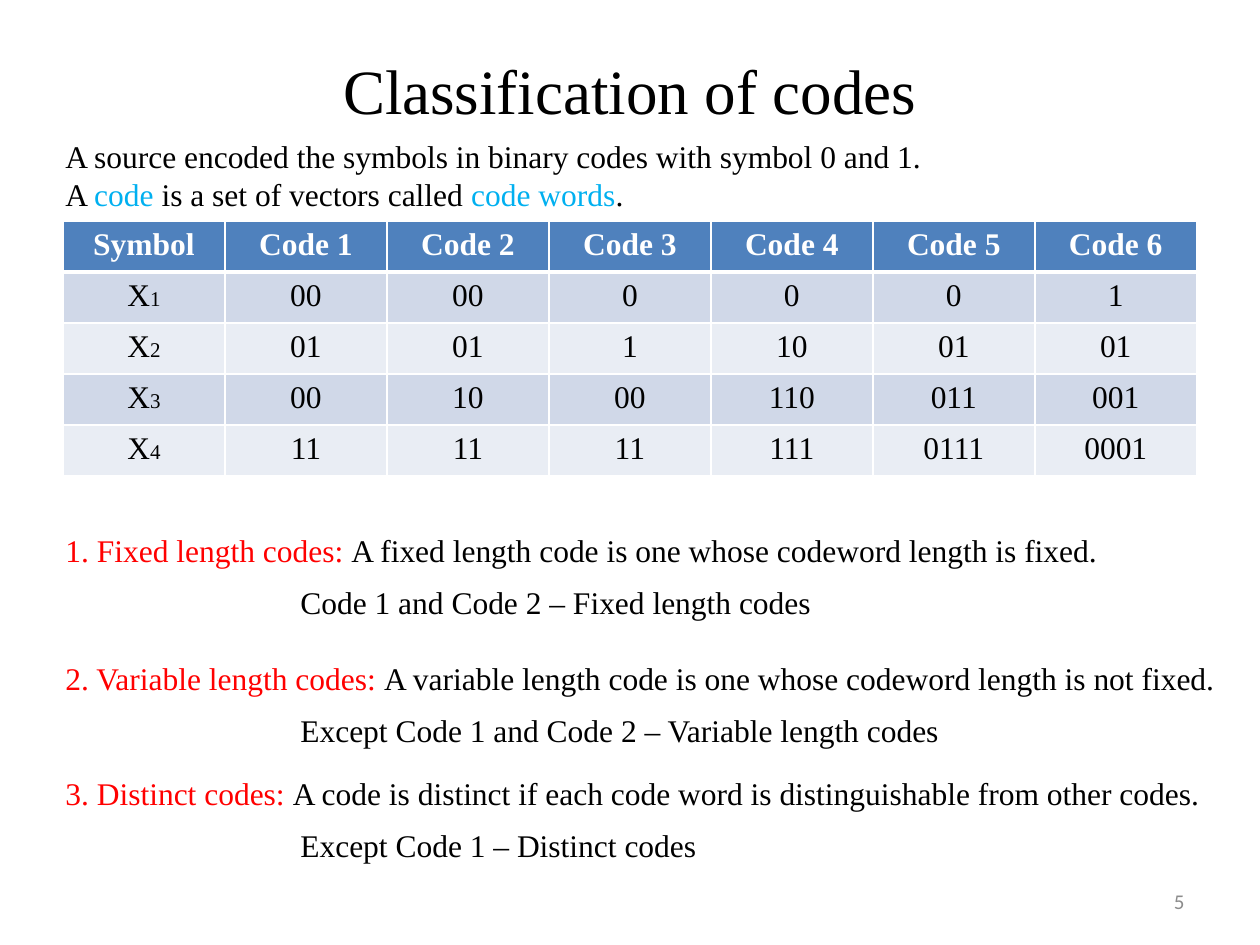
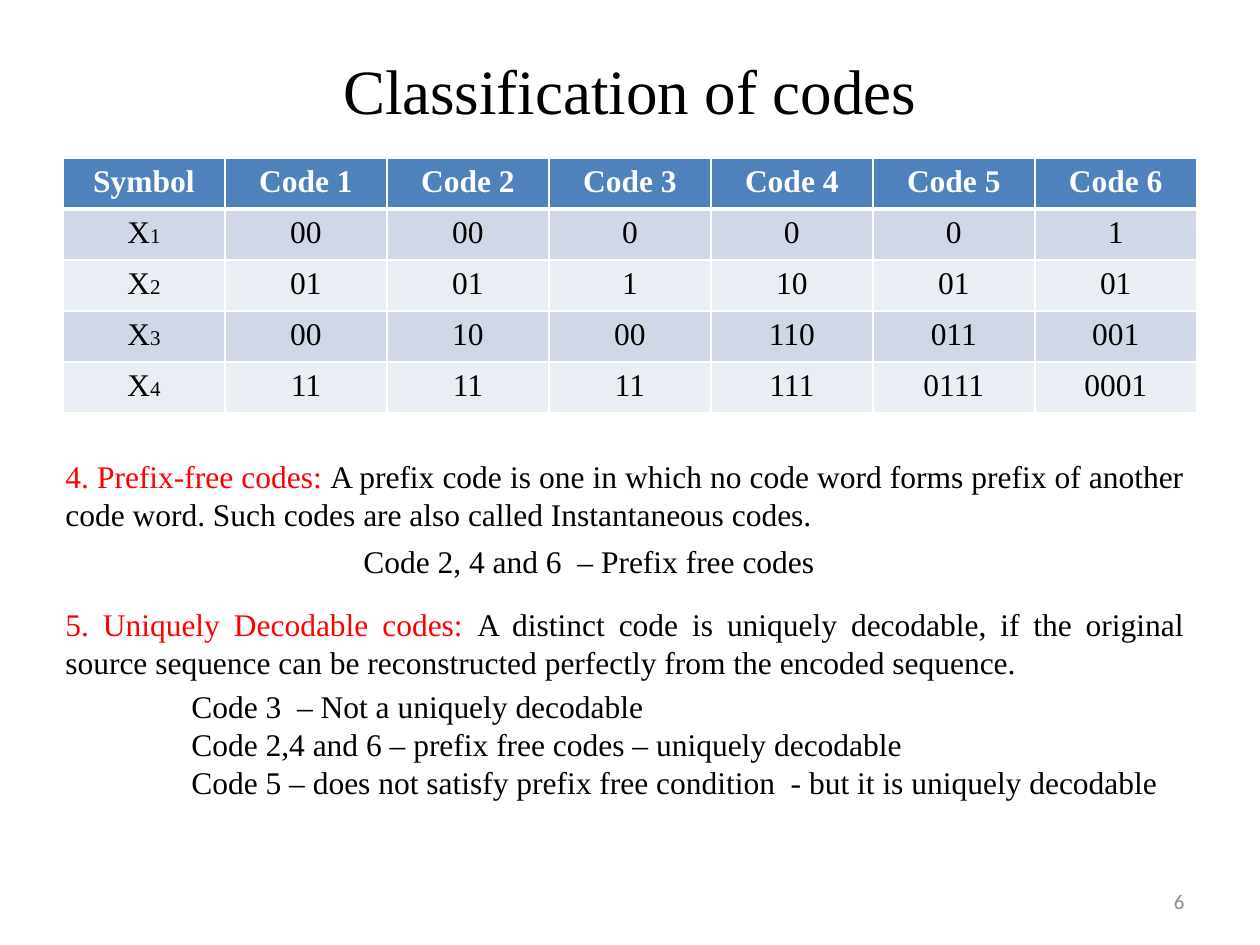
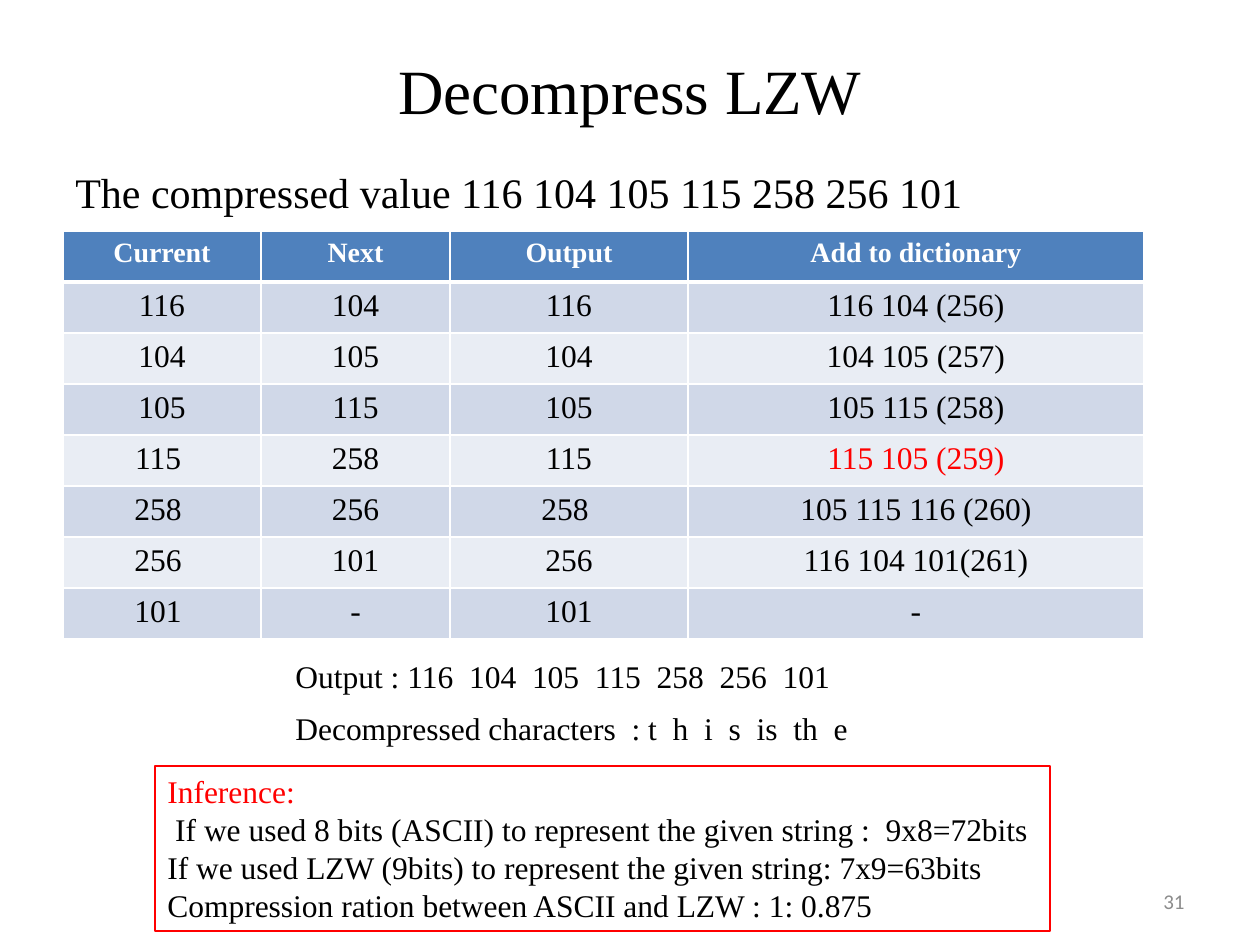
from dataclasses import dataclass

from pptx import Presentation
from pptx.dml.color import RGBColor
from pptx.enum.shapes import MSO_SHAPE
from pptx.enum.text import MSO_ANCHOR, MSO_AUTO_SIZE, PP_ALIGN
from pptx.oxml.ns import qn
from pptx.util import Emu, Pt
from lxml import etree

RECTANGLE = MSO_SHAPE.RECTANGLE
TOP, MIDDLE = MSO_ANCHOR.TOP, MSO_ANCHOR.MIDDLE
LEFT, CENTER, RIGHT, JUSTIFY = (
    PP_ALIGN.LEFT, PP_ALIGN.CENTER, PP_ALIGN.RIGHT, PP_ALIGN.JUSTIFY)
NO_AUTOFIT = MSO_AUTO_SIZE.NONE
TITLE_ONLY = 5
PX_PER_INCH = 126


# Shared look
@dataclass(frozen=True)
class Theme:
    font: str = "Times New Roman"
    number_font: str = "Calibri"
    text: str = "000000"
    white: str = "FFFFFF"
    red: str = "FF0000"
    cyan: str = "00B0F0"
    grey: str = "8C8C8C"
    header: str = "4F81BD"
    bands: tuple = ("D0D8E8", "E9EDF4")
    title_size: int = 36
    lead_size: int = 24
    body_size: int = 18
    header_size: int = 16
    small_size: int = 12
    grid_line: int = 1
    header_line: int = 3


THEME = Theme()
MARGIN = 63
TEXT_LEFT = 53
LINE_HEIGHT = 50
ROW_HEIGHT = 51


@dataclass(frozen=True)
class Span:
    """A piece of text with its own colour or size."""
    text: str
    color: str = THEME.text
    size: int = THEME.body_size
    bold: bool = False
    font: str = THEME.font


# Content
CODE_HEADERS = ["Symbol"] + [f"Code {n}" for n in range(1, 7)]
CODE_WORDS = [
    ["00", "00", "0", "0", "0", "1"],
    ["01", "01", "1", "10", "01", "01"],
    ["00", "10", "00", "110", "011", "001"],
    ["11", "11", "11", "111", "0111", "0001"],
]
LZW_HEADERS = ["Current", "Next", "Output", "Add to dictionary"]
LZW_STEPS = [
    ["116", "104", "116", "116 104 (256)"],
    ["104", "105", "104", "104 105 (257)"],
    ["105", "115", "105", "105 115 (258)"],
    ["115 ", "258", "115", Span("115 105 (259)", THEME.red)],
    ["258 ", "256", "258 ", "105 115 116 (260)"],
    ["256 ", "101", "256", "116 104 101(261)"],
    ["101 ", "-", "101", "-"],
]
# Top of the definition, term, definition, top of the example, example
LENGTH_CLASSES = [
    (525, "1. Fixed length codes: ",
     "A fixed length code is one whose codeword length is fixed.",
     577, "Code 1 and Code 2 – Fixed length codes"),
    (653, "2. Variable length codes: ",
     "A variable length code is one whose codeword length is not fixed.",
     705, "Except Code 1 and Code 2 – Variable length codes"),
    (768, "3. Distinct codes: ",
     "A code is distinct if each code word is distinguishable from other codes.",
     820, "Except Code 1 – Distinct codes"),
]


def px(length):
    return Emu(round(length * 914400 / PX_PER_INCH))


def rgb(color):
    return RGBColor.from_string(color)


# Text
def as_spans(content):
    """Turn a string, a Span or a list of both into a list of Spans."""
    parts = content if isinstance(content, list) else [content]
    return [part if isinstance(part, Span) else Span(part) for part in parts]


def write(frame, paragraphs, align=LEFT, anchor=TOP):
    frame.word_wrap = True
    frame.vertical_anchor = anchor
    for index, content in enumerate(paragraphs):
        paragraph = frame.add_paragraph() if index else frame.paragraphs[0]
        paragraph.alignment = align
        for span in as_spans(content):
            run = paragraph.add_run()
            run.text = span.text
            run.font.name = span.font
            run.font.size = Pt(span.size)
            run.font.bold = span.bold
            run.font.color.rgb = rgb(span.color)


def add_text(slide, box, *paragraphs, align=LEFT, anchor=TOP):
    textbox = slide.shapes.add_textbox(*map(px, box))
    write(textbox.text_frame, paragraphs, align, anchor)


def add_definition(slide, top, width, height, term, meaning):
    add_text(slide, (TEXT_LEFT, top, width, height),
             [Span(term, THEME.red), meaning], align=JUSTIFY)


def add_framed_text(slide, box, *paragraphs):
    frame = slide.shapes.add_shape(RECTANGLE, *map(px, box))
    frame.shadow.inherit = False
    frame.fill.background()
    frame.line.color.rgb = rgb(THEME.red)
    frame.line.width = Pt(0.75)
    write(frame.text_frame, paragraphs)


# Slide with its title and number
def add_titled_slide(deck, title, number):
    slide = deck.slides.add_slide(deck.slide_layouts[TITLE_ONLY])
    heading = slide.shapes.title
    heading.left, heading.top, heading.width, heading.height = map(
        px, (MARGIN, 10, 1134, 158))
    heading.text_frame.auto_size = NO_AUTOFIT
    write(heading.text_frame, [Span(title, size=THEME.title_size)], CENTER, MIDDLE)
    add_text(slide, (903, 876, 294, LINE_HEIGHT),
             Span(number, THEME.grey, THEME.small_size, font=THEME.number_font),
             align=RIGHT, anchor=MIDDLE)
    return slide


# Tables
def set_borders(cell, top, bottom):
    properties = cell._tc.get_or_add_tcPr()
    widths = {"a:lnL": THEME.grid_line, "a:lnR": THEME.grid_line,
              "a:lnT": top, "a:lnB": bottom}
    for side, width in widths.items():
        line = etree.SubElement(properties, qn(side), w=str(Pt(width)))
        fill = etree.SubElement(line, qn("a:solidFill"))
        etree.SubElement(fill, qn("a:srgbClr"), val=THEME.white)


def add_banded_table(slide, top, widths, headers, rows,
                     header_size=THEME.body_size):
    heading = [Span(text, THEME.white, header_size, bold=True) for text in headers]
    lines = [heading] + rows
    table = slide.shapes.add_table(
        len(lines), len(widths), px(MARGIN), px(top),
        px(sum(widths)), px(ROW_HEIGHT * len(lines))).table
    for column, width in zip(table.columns, widths):
        column.width = px(width)
    for r, line in enumerate(lines):
        table.rows[r].height = px(ROW_HEIGHT)
        color = THEME.bands[(r - 1) % 2] if r else THEME.header
        above = THEME.header_line if r == 1 else THEME.grid_line
        below = THEME.header_line if r == 0 else THEME.grid_line
        for c, content in enumerate(line):
            cell = table.cell(r, c)
            set_borders(cell, above, below)
            cell.fill.solid()
            cell.fill.fore_color.rgb = rgb(color)
            write(cell.text_frame, [content], CENTER)


def add_code_table(slide, top):
    rows = [[["X", Span(str(n), size=THEME.small_size)]] + words
            for n, words in enumerate(CODE_WORDS, 1)]
    add_banded_table(slide, top, [162] * len(CODE_HEADERS), CODE_HEADERS, rows)


# Slides
def build_length_classes(deck):
    slide = add_titled_slide(deck, "Classification of codes", "5")
    add_code_table(slide, 221)
    add_text(slide, (TEXT_LEFT, 131, 910, 89),
             "A source encoded the symbols in binary codes with symbol 0 and 1.",
             ["A ", Span("code", THEME.cyan), " is a set of vectors called ",
              Span("code words", THEME.cyan), "."])
    for top, term, meaning, example_top, example in LENGTH_CLASSES:
        add_definition(slide, top, 1190, LINE_HEIGHT, term, meaning)
        add_text(slide, (288, example_top, 680, LINE_HEIGHT), example)


def build_decodable_classes(deck):
    slide = add_titled_slide(deck, "Classification of codes", "6")
    add_code_table(slide, 158)
    add_definition(
        slide, 451, 1144, 89, "4. Prefix-free codes: ",
        "A prefix code is one in which no code word forms prefix of another "
        "code word. Such codes are also called Instantaneous codes.")
    add_text(slide, (351, 536, 490, LINE_HEIGHT),
             "Code 2, 4 and 6  – Prefix free codes")
    add_definition(
        slide, 599, 1144, 89, "5. Uniquely Decodable codes: ",
        "A distinct code is uniquely decodable, if the original source sequence "
        "can be reconstructed perfectly from the encoded sequence.")
    add_text(slide, (179, 681, 998, 127),
             "Code 3  – Not a uniquely decodable",
             "Code 2,4 and 6 – prefix free codes – uniquely decodable",
             "Code 5 – does not satisfy prefix free condition  - but it is "
             "uniquely decodable")


def build_lzw(deck):
    slide = add_titled_slide(deck, "Decompress LZW", "31")
    add_text(slide, (MARGIN, 160, 1134, 70),
             Span("The compressed value 116 104 105 115 258 256 101",
                  size=THEME.lead_size))
    add_banded_table(slide, 231, [198, 189, 238, 456], LZW_HEADERS, LZW_STEPS,
                     THEME.header_size)
    add_text(slide, (283, 651, 600, LINE_HEIGHT),
             "Output : 116  104  105  115  258  256  101")
    add_text(slide, (283, 703, 600, LINE_HEIGHT),
             "Decompressed characters  : t  h  i  s  is  th  e")
    add_framed_text(
        slide, (155, 766, 895, 165),
        Span("Inference:", THEME.red),
        " If we used 8 bits (ASCII) to represent the given string :  9x8=72bits",
        "If we used LZW (9bits) to represent the given string: 7x9=63bits",
        "Compression ration between ASCII and LZW : 1: 0.875")


def main():
    deck = Presentation()
    deck.slide_width, deck.slide_height = px(1260), px(945)
    build_length_classes(deck)
    build_decodable_classes(deck)
    build_lzw(deck)
    deck.save("out.pptx")


if __name__ == "__main__":
    main()
